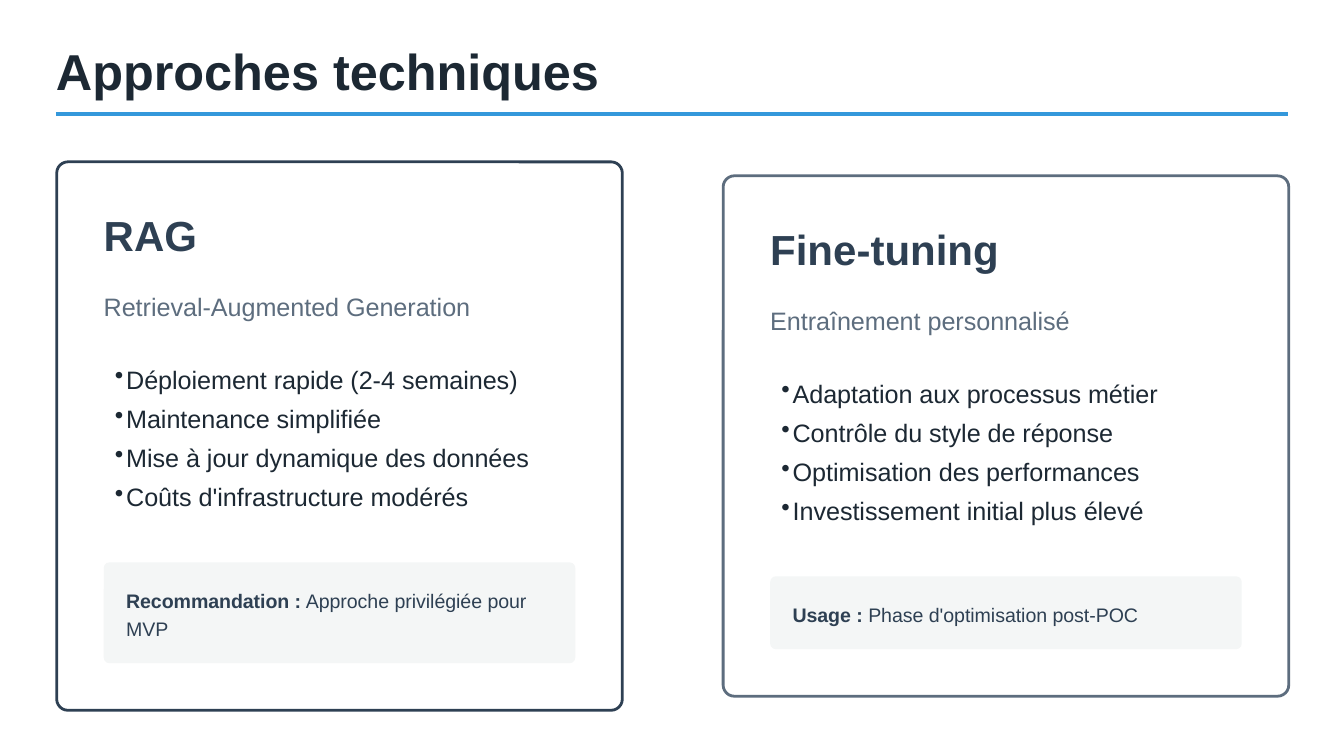
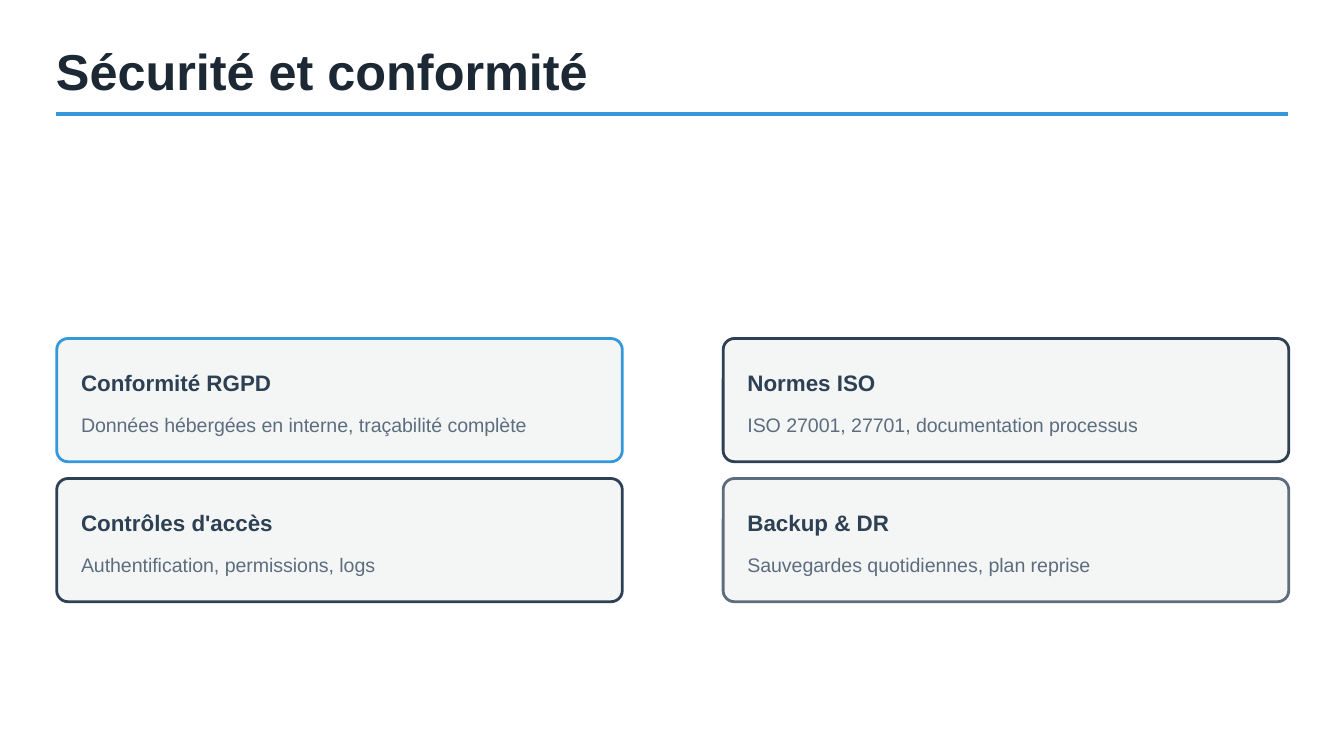
from pptx import Presentation
from pptx.util import Pt
from pptx.dml.color import RGBColor as Rgb
from pptx.enum.shapes import MSO_SHAPE as Shape, MSO_CONNECTOR as Line
from pptx.enum.text import MSO_ANCHOR as Anchor, MSO_AUTO_SIZE as Auto, PP_ALIGN as Align
from pptx.oxml.ns import qn
from lxml.etree import SubElement

HUES = {
    "ink": "1C2833",
    "navy": "2E4053",
    "slate": "5D6D7E",
    "blue": "3498DB",
    "pale": "F4F6F6",
    "white": "FFFFFF",
}
FONT = "Arial"
LEFT, RIGHT = 30, 690
CARD = 303
COLS = (30.4, 387.4)
MID = 233.6
PAD = 25.2


def hue(name):
    return Rgb.from_string(HUES[name])


def write(shape, lines, size=13.5, color="ink", bold=False, lead=21, after=0, bullet=False):
    frame = shape.text_frame
    frame.word_wrap = True
    frame.auto_size = Auto.NONE
    frame.vertical_anchor = Anchor.TOP
    frame.margin_left = Pt(6 if bullet else 0)
    frame.margin_top = frame.margin_right = frame.margin_bottom = 0
    for i, line in enumerate(lines):
        para = frame.add_paragraph() if i else frame.paragraphs[0]
        para.alignment = Align.LEFT
        para.line_spacing = Pt(lead)
        para.space_before = Pt(0)
        para.space_after = Pt(after)
        if bullet:
            props = para._p.get_or_add_pPr()
            props.set("marL", str(Pt(6)))
            props.set("indent", str(-Pt(6)))
            SubElement(props, qn("a:buChar")).set("char", "•")
        parts = [(line, bold)] if isinstance(line, str) else line
        for text, strong in parts:
            run = para.add_run()
            run.text = text
            font = run.font
            font.name, font.size, font.bold = FONT, Pt(size), strong
            font.color.rgb = hue(color)


def label(slide, x, y, w, h, lines, **form):
    box = slide.shapes.add_textbox(Pt(x), Pt(y), Pt(w), Pt(h))
    write(box, lines, **form)


def panel(slide, x, y, w, h, radius, fill=None, edge=None):
    box = slide.shapes.add_shape(Shape.ROUNDED_RECTANGLE, Pt(x), Pt(y), Pt(w), Pt(h))
    box.adjustments[0] = radius / min(w, h)
    box.shadow.inherit = False
    if fill:
        box.fill.solid()
        box.fill.fore_color.rgb = hue(fill)
    else:
        box.fill.background()
    if edge:
        box.line.color.rgb = hue(edge)
        box.line.width = Pt(1.5)
    else:
        box.line.fill.background()


def start(deck, title):
    slide = deck.slides.add_slide(deck.slide_layouts[5])
    slide.background.fill.solid()
    slide.background.fill.fore_color.rgb = hue("white")
    head = slide.shapes.title
    head.left, head.top, head.width, head.height = Pt(LEFT), Pt(24), Pt(338), Pt(30)
    write(head, [title], size=27, bold=True, lead=30)
    rule = slide.shapes.add_connector(Line.STRAIGHT, Pt(LEFT), Pt(61.2), Pt(RIGHT), Pt(61.2))
    rule.line.color.rgb = hue("blue")
    rule.line.width = Pt(2.25)
    SubElement(rule._element.spPr, qn("a:effectLst"))
    return slide


def method(slide, x, edge, name, full, points, note, rows):
    deep = 24 + 15 * rows
    high = 214.6 + deep + PAD
    y = MID - high / 2
    inner = x + PAD
    wide = CARD - 2 * PAD
    panel(slide, x, y, CARD, high, 6, edge=edge)
    label(slide, inner, y + 25.4, 257, 27, [name],
          size=22.5, color="navy", bold=True, lead=27, after=12)
    label(slide, inner, y + 64.4, 257, 21, [full], color="slate", after=18)
    label(slide, inner, y + 103.4, wide, 93, points, bullet=True)
    panel(slide, inner, y + 214.6, wide, deep, 3, fill="pale")
    label(slide, inner + 12, y + 226.6, 232.6, 15 * rows, [note],
          size=10.5, color="navy", lead=15)


def topic(slide, x, y, edge, name, text):
    panel(slide, x, y, CARD, 66, 6, fill="pale", edge=edge)
    label(slide, x + 13, y + 13, 281.5, 18, [name],
          size=12, color="navy", bold=True, lead=18, after=6)
    label(slide, x + 13, y + 37.4, 281.5, 15, [text],
          size=10.5, color="slate", lead=15)


def compare(deck):
    slide = start(deck, "Approches techniques")
    method(slide, COLS[0], "navy", "RAG", "Retrieval-Augmented Generation",
           ["Déploiement rapide (2-4 semaines)", "Maintenance simplifiée",
            "Mise à jour dynamique des données", "Coûts d'infrastructure modérés"],
           [("Recommandation :", True), (" Approche privilégiée pour MVP", False)], 2)
    method(slide, COLS[1], "slate", "Fine-tuning", "Entraînement personnalisé",
           ["Adaptation aux processus métier", "Contrôle du style de réponse",
            "Optimisation des performances", "Investissement initial plus élevé"],
           [("Usage :", True), (" Phase d'optimisation post-POC", False)], 1)


def secure(deck):
    slide = start(deck, "Sécurité et conformité")
    topics = [
        ("blue", "Conformité RGPD", "Données hébergées en interne, traçabilité complète"),
        ("navy", "Contrôles d'accès", "Authentification, permissions, logs"),
        ("navy", "Normes ISO", "ISO 27001, 27701, documentation processus"),
        ("slate", "Backup & DR", "Sauvegardes quotidiennes, plan reprise"),
    ]
    for i, item in enumerate(topics):
        col, row = divmod(i, 2)
        topic(slide, COLS[col], 181.4 + 75 * row, *item)


def main():
    deck = Presentation()
    deck.slide_width, deck.slide_height = Pt(720), Pt(405)
    compare(deck)
    secure(deck)
    deck.save("out.pptx")


if __name__ == "__main__":
    main()
